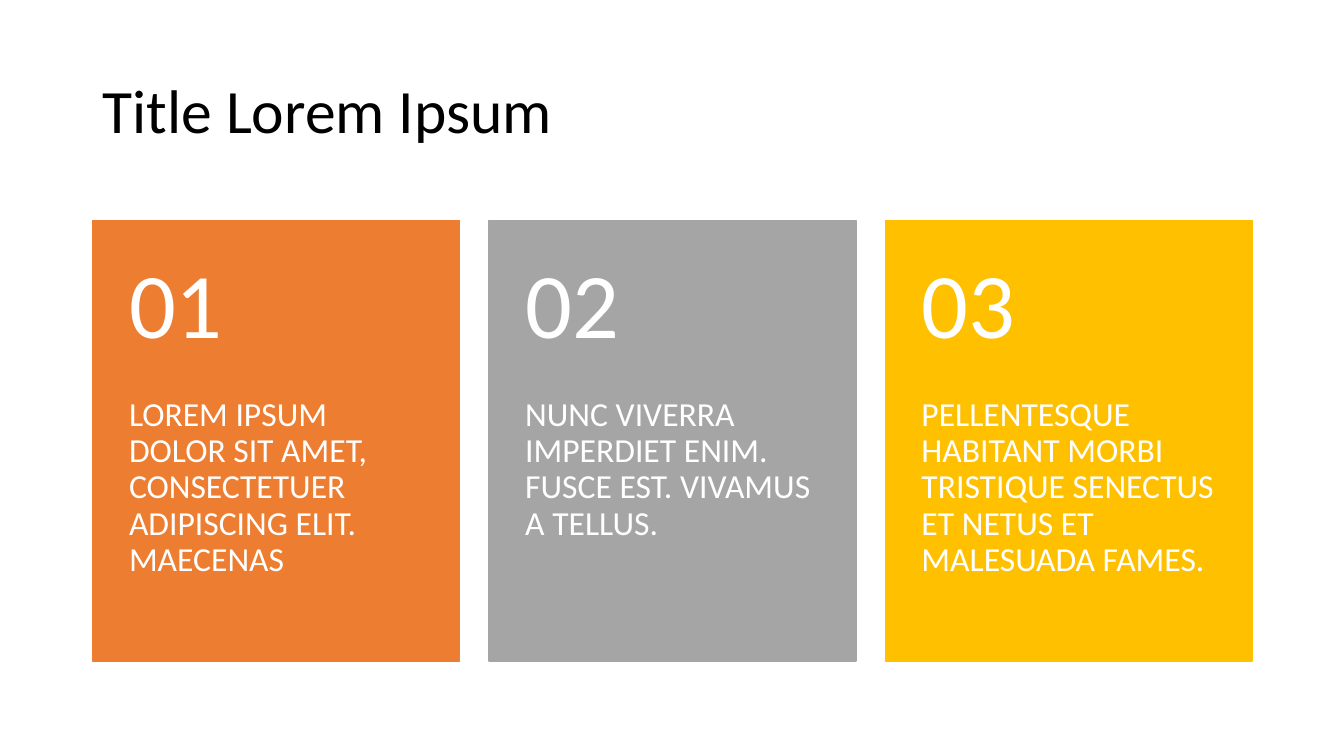
from pptx import Presentation
from pptx.dml.color import RGBColor
from pptx.enum import shapes, text
from pptx.util import Inches, Pt

BLACK = RGBColor(0x00, 0x00, 0x00)
WHITE = RGBColor(0xFF, 0xFF, 0xFF)
ORANGE = RGBColor(0xED, 0x7D, 0x31)
GRAY = RGBColor(0xA5, 0xA5, 0xA5)
GOLD = RGBColor(0xFF, 0xC0, 0x00)

LEFT, TOP = 0.92, 2.19
CARD_WIDTH, CARD_PITCH = 3.64, 3.93
NUMBER_HEIGHT, BODY_HEIGHT = 1.75, 2.62

CARDS = [
    (ORANGE, "LOREM IPSUM DOLOR SIT AMET, CONSECTETUER ADIPISCING ELIT. MAECENAS"),
    (GRAY, "NUNC VIVERRA IMPERDIET ENIM. FUSCE EST. VIVAMUS A TELLUS."),
    (GOLD, "PELLENTESQUE HABITANT MORBI TRISTIQUE SENECTUS ET NETUS ET MALESUADA FAMES."),
]


def add_text(parent, box, words, size, color, anchor, insets):
    sp = parent.add_textbox(*map(Inches, box))
    tf = sp.text_frame
    tf.word_wrap = True
    tf.vertical_anchor = anchor
    tf.margin_left, tf.margin_top, tf.margin_right, tf.margin_bottom = map(Inches, insets)
    p = tf.paragraphs[0]
    p.text = words
    p.line_spacing = 0.9
    p.font.name = "Calibri"
    p.font.size = Pt(size)
    p.font.color.rgb = color


def add_card(s, index, color, words):
    x = LEFT + index * CARD_PITCH
    group = s.shapes.add_group_shape().shapes
    sp = group.add_shape(
        shapes.MSO_SHAPE.RECTANGLE, Inches(x), Inches(TOP),
        Inches(CARD_WIDTH), Inches(NUMBER_HEIGHT + BODY_HEIGHT))
    sp.shadow.inherit = False
    sp.fill.solid()
    sp.fill.fore_color.rgb = color
    sp.line.color.rgb = color
    sp.line.width = Pt(1)
    add_text(group, (x, TOP + NUMBER_HEIGHT, CARD_WIDTH, BODY_HEIGHT), words, 24,
             WHITE, text.MSO_ANCHOR.TOP, (0.36, 0, 0.36, 0.36))
    add_text(group, (x, TOP, CARD_WIDTH, NUMBER_HEIGHT), f"{index + 1:02}", 66,
             WHITE, text.MSO_ANCHOR.MIDDLE, (0.36, 0.18, 0.36, 0.18))


def main():
    prs = Presentation()
    prs.slide_width, prs.slide_height = Inches(13.33), Inches(7.5)
    s = prs.slides.add_slide(prs.slide_layouts[6])
    add_text(s.shapes, (LEFT, 0.4, 11.5, 1.45), "Title Lorem Ipsum", 44,
             BLACK, text.MSO_ANCHOR.MIDDLE, (0.1, 0.05, 0.1, 0.05))
    for index, (color, words) in enumerate(CARDS):
        add_card(s, index, color, words)
    prs.save("out.pptx")


if __name__ == "__main__":
    main()
